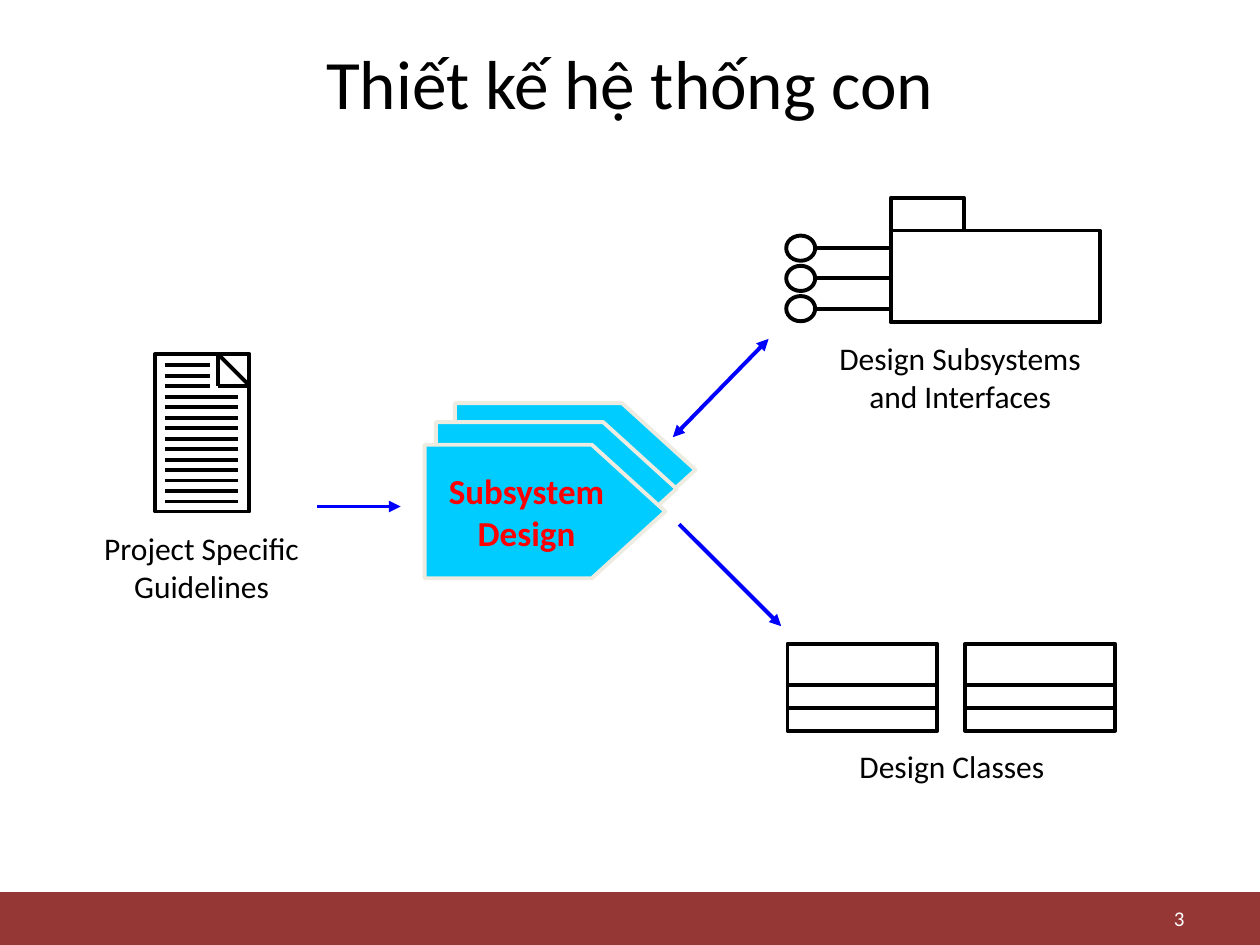
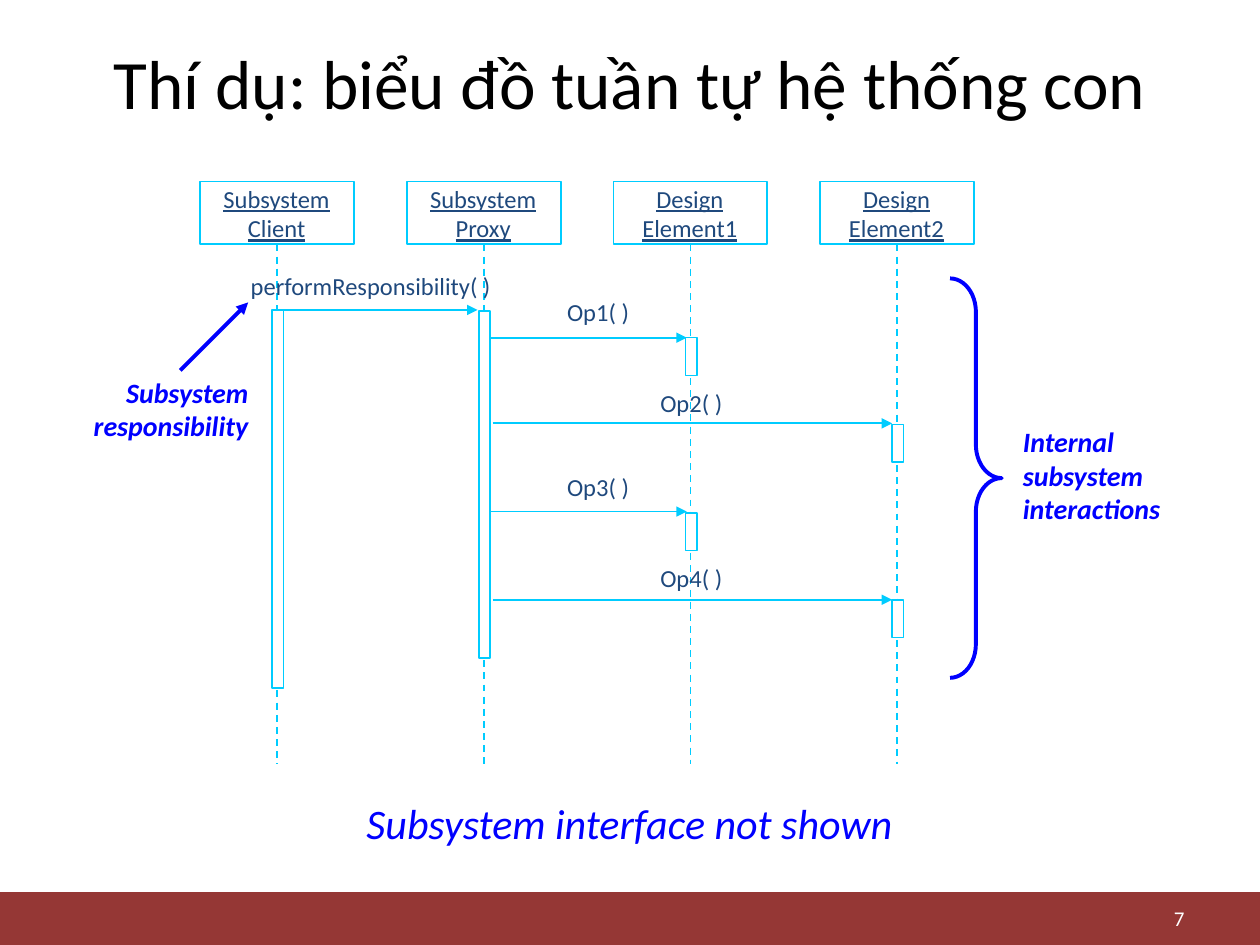
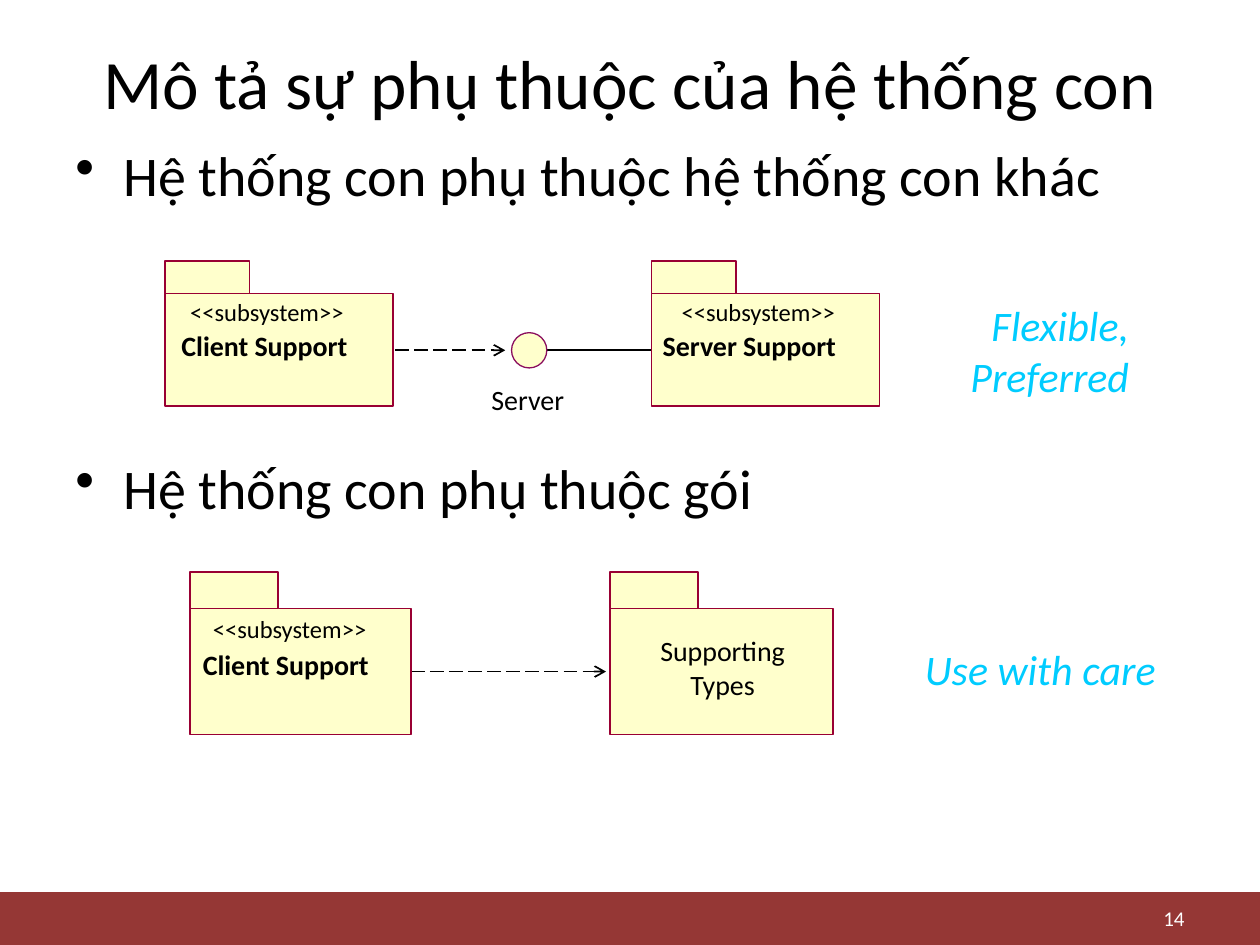
from lxml import etree
from pptx import Presentation, util as u
from pptx.dml.color import RGBColor
from pptx.enum import dml, shapes, text
from pptx.oxml.ns import qn

BLACK = RGBColor(0x00, 0x00, 0x00)
WHITE = RGBColor(0xFF, 0xFF, 0xFF)
BAND = RGBColor(0x95, 0x37, 0x35)
BLUE = RGBColor(0x00, 0x00, 0xFF)
CYAN = RGBColor(0x00, 0xCC, 0xFF)
RED = RGBColor(0xFF, 0x00, 0x00)
CREAM = RGBColor(0xEE, 0xEC, 0xE1)
NAVY = RGBColor(0x1F, 0x49, 0x7D)
YELLOW = RGBColor(0xFF, 0xFF, 0xCC)
MAROON = RGBColor(0x99, 0x00, 0x33)
PURPLE = RGBColor(0x8A, 0x0E, 0x5E)

FONT = "Calibri"
RECT = shapes.MSO_SHAPE.RECTANGLE
OVAL = shapes.MSO_SHAPE.OVAL
LEFT, CENTER, RIGHT = text.PP_ALIGN.LEFT, text.PP_ALIGN.CENTER, text.PP_ALIGN.RIGHT
DASH = dml.MSO_LINE.DASH
LONG_DASH = dml.MSO_LINE.LONG_DASH

deck = Presentation()
deck.slide_width, deck.slide_height = u.Inches(10), u.Inches(7.5)
COLUMN = deck.slide_width / 10
ROW = deck.slide_height / 7.5


def block(slide, x, y, w, h, kind=None, fill=None, edge=None, weight=2.25, words=None,
          size=18, color=BLACK, align=CENTER, bold=None, italic=None, underline=None,
          inset=(0.1, 0.05), wrap=True, middle=False):
    place = [int(n) for n in (x * COLUMN, y * ROW, w * COLUMN, h * ROW)]
    if kind is None:
        item = slide.shapes.add_textbox(*place)
    else:
        item = slide.shapes.add_shape(kind, *place)
        item.shadow.inherit = False
    if fill is None:
        item.fill.background()
    else:
        item.fill.solid()
        item.fill.fore_color.rgb = fill
    if edge is None:
        item.line.fill.background()
    else:
        item.line.color.rgb = edge
        item.line.width = u.Pt(weight)
    if words:
        frame = item.text_frame
        frame.text = words
        frame.word_wrap = wrap
        frame.margin_left = frame.margin_right = u.Inches(inset[0])
        frame.margin_top = frame.margin_bottom = u.Inches(inset[1])
        frame.vertical_anchor = text.MSO_ANCHOR.MIDDLE if middle else text.MSO_ANCHOR.TOP
        for paragraph in frame.paragraphs:
            paragraph.alignment = align
            font = paragraph.font
            font.name, font.size, font.color.rgb = FONT, u.Pt(size), color
            font.bold, font.italic, font.underline = bold, italic, underline
    return item


def line(slide, x1, y1, x2, y2, color=BLACK, weight=2.25, dash=None, head=None, tail=None):
    stroke = slide.shapes.add_connector(
        shapes.MSO_CONNECTOR.STRAIGHT,
        int(x1 * COLUMN), int(y1 * ROW), int(x2 * COLUMN), int(y2 * ROW))
    stroke.line.color.rgb = color
    stroke.line.width = u.Pt(weight)
    if dash:
        stroke.line.dash_style = dash
    properties = stroke._element.spPr
    outline = properties.find(qn("a:ln"))
    for end, arrow in (("a:headEnd", head), ("a:tailEnd", tail)):
        if arrow:
            etree.SubElement(outline, qn(end)).set("type", arrow)
    etree.SubElement(properties, qn("a:effectLst"))


pages = []
for title, number in (("Thiết kế hệ thống con", "3"),
                      ("Thí dụ: biểu đồ tuần tự hệ thống con", "7"),
                      ("Mô tả sự phụ thuộc của hệ thống con", "14")):
    page = deck.slides.add_slide(deck.slide_layouts[6])
    block(page, 0, 7.08, 10, 0.42, RECT, BAND)
    block(page, 0.5, 0.3, 9, 0.7, words=title, size=39.6, middle=True)
    block(page, 7.17, 7.15, 2.33, 0.27, words=number, size=12, color=WHITE,
          align=RIGHT, middle=True)
    pages.append(page)
design, sequence, dependency = pages

for x, y, words in ((3.61, 3.2, None), (3.46, 3.35, None), (3.37, 3.53, "Subsystem\nDesign")):
    step = block(design, x, y, 1.91, 1.06, shapes.MSO_SHAPE.PENTAGON, CYAN, CREAM,
                 words=words, size=20, color=RED, bold=True, middle=True)
    step.adjustments[0] = 0.55

line(design, 2.52, 4.02, 3.18, 4.02, BLUE, tail="triangle")
line(design, 5.34, 3.47, 6.1, 2.69, BLUE, head="triangle", tail="triangle")
line(design, 5.39, 4.16, 6.2, 4.97, BLUE, tail="triangle")

block(design, 7.07, 1.83, 1.66, 0.73, RECT, edge=BLACK)
block(design, 7.07, 1.57, 0.58, 0.26, RECT, edge=BLACK)
for interface in range(3):
    y = 1.97 + 0.24 * interface
    block(design, 6.24, y - 0.1, 0.23, 0.2, OVAL, edge=BLACK)
    line(design, 6.47, y, 7.07, y)
block(design, 6.38, 2.64, 2.48, 0.7, words="Design Subsystems\nand Interfaces")

for x in (6.25, 7.66):
    block(design, x, 5.11, 1.19, 0.69, RECT, edge=BLACK)
    for y in (5.44, 5.62):
        line(design, x, y, x + 1.19, y)
block(design, 6.39, 5.88, 2.33, 0.4, words="Design Classes")

block(design, 1.23, 2.81, 0.75, 1.25, RECT, edge=BLACK)
line(design, 1.73, 2.81, 1.98, 3.06)
line(design, 1.73, 2.81, 1.73, 3.06)
line(design, 1.98, 3.06, 1.73, 3.06)
for row in range(14):
    y = 2.9 + row * 1.08 / 13
    line(design, 1.31, y, 1.67 if row < 3 else 1.89, y)
block(design, 0.64, 4.15, 1.92, 0.7, words="Project Specific\nGuidelines")

participants = (
    ("Subsystem\nClient", ((2.46, 3),)),
    ("Subsystem\nProxy", ((2.47, 2.75),)),
    ("Design\nElement1", ((2.68, 0.3), (4.07, 0.3))),
    ("Design\nElement2", ((3.37, 0.3), (4.76, 0.3))),
)
for index, (participant, activations) in enumerate(participants):
    x = 2.2 + 1.64 * index
    block(sequence, x - 0.61, 1.44, 1.22, 0.5, RECT, edge=CYAN, weight=1)
    block(sequence, x - 0.43, 1.46, 0.85, 0.47, words=participant, size=14, color=NAVY,
          underline=True, inset=(0, 0), wrap=False)
    lifeline = 1.94
    for start, duration in activations:
        line(sequence, x, lifeline, x, start, CYAN, 1, DASH)
        block(sequence, x - 0.04, start, 0.09, duration, RECT, edge=CYAN, weight=1)
        lifeline = start + duration + 0.02
    line(sequence, x, lifeline, x, 6.06, CYAN, 1, DASH)

for message, label_x, label_y, label_w, start, end, y in (
        ("performResponsibility( )", 1.99, 2.15, 2.07, 2.24, 3.79, 2.46),
        ("Op1( )", 4.5, 2.36, 0.55, 3.89, 5.45, 2.68),
        ("Op2( )", 5.24, 3.08, 0.55, 3.91, 7.08, 3.36),
        ("Op3( )", 4.5, 3.75, 0.55, 3.89, 5.45, 4.06),
        ("Op4( )", 5.24, 4.47, 0.55, 3.91, 7.08, 4.76)):
    block(sequence, label_x, label_y, label_w, 0.24, words=message, size=14, color=NAVY,
          align=LEFT, inset=(0, 0))
    line(sequence, start, y, end, y, CYAN, 1, tail="triangle")

interactions = block(sequence, 7.54, 2.21, 0.41, 3.17, shapes.MSO_SHAPE.RIGHT_BRACE, edge=BLUE)
interactions.adjustments[0] = 0.65
block(sequence, 8.02, 3.32, 1.5, 0.9, words="Internal subsystem interactions", size=16,
      color=BLUE, align=LEFT, bold=True, italic=True)
block(sequence, 0.38, 2.93, 1.69, 0.64, words="Subsystem responsibility", size=16,
      color=BLUE, align=RIGHT, bold=True, italic=True)
line(sequence, 1.43, 2.94, 1.97, 2.4, BLUE, tail="triangle")
block(sequence, 2.37, 6.27, 5.25, 0.52, words="Subsystem interface not shown", size=24,
      color=BLUE, italic=True, inset=(0.12, 0.06))

cases = block(dependency, 0.5, 1.07, 9, 5.63, size=32, align=LEFT,
              words="Hệ thống con phụ thuộc hệ thống con khác\nHệ thống con phụ thuộc gói")
for paragraph in cases.text_frame.paragraphs:
    properties = paragraph._p.get_or_add_pPr()
    properties.set("marL", str(u.Inches(0.38)))
    properties.set("indent", str(-u.Inches(0.38)))
    bullet = etree.Element(qn("a:buChar"), char="•")
    properties.find(qn("a:defRPr")).addprevious(bullet)
cases.text_frame.paragraphs[1].space_before = u.Pt(140)

line(dependency, 2.53, 2.78, 4.01, 2.78, weight=1, dash=LONG_DASH, tail="arrow")
line(dependency, 4.18, 2.78, 5.29, 2.78, weight=1)
line(dependency, 3.26, 5.33, 4.81, 5.33, weight=1, dash=LONG_DASH, tail="arrow")
block(dependency, 4.06, 2.64, 0.28, 0.28, OVAL, YELLOW, PURPLE, 0)
block(dependency, 3.9, 3.04, 0.59, 0.27, words="Server", size=16, align=LEFT,
      inset=(0, 0), wrap=False)

for x, y, w, h, tab_w, tab_h in ((1.31, 2.33, 1.81, 0.89, 0.67, 0.26),
                                 (5.17, 2.33, 1.81, 0.89, 0.67, 0.26),
                                 (1.51, 4.83, 1.75, 1, 0.7, 0.29),
                                 (4.84, 4.83, 1.77, 1, 0.7, 0.29)):
    block(dependency, x, y, w, h, RECT, YELLOW, MAROON, 1)
    block(dependency, x, y - tab_h, tab_w, tab_h, RECT, YELLOW, MAROON, 1)

for name, x, y, w, stereotype_x, stereotype_y in (
        ("Client Support", 1.44, 2.61, 1.34, 1.51, 2.36),
        ("Server Support", 5.26, 2.61, 1.4, 5.41, 2.36),
        ("Client Support", 1.61, 5.14, 1.34, 1.69, 4.87)):
    block(dependency, x, y, w, 0.27, RECT, YELLOW, words=name, size=16, align=LEFT,
          bold=True, inset=(0, 0))
    block(dependency, stereotype_x, stereotype_y, 1.23, 0.24, RECT, YELLOW,
          words="<<subsystem>>", size=14, align=LEFT, inset=(0, 0))
block(dependency, 5.16, 5.03, 1.15, 0.53, RECT, YELLOW, words="Supporting\vTypes", size=16,
      inset=(0, 0))

for advice, x, y, w, h in (("Flexible, Preferred", 7.39, 2.33, 1.67, 0.9),
                           ("Use with care", 6.82, 5.06, 2.45, 0.5)):
    block(dependency, x, y, w, h, words=advice, size=24, color=CYAN, align=RIGHT, italic=True)

deck.save("out.pptx")
